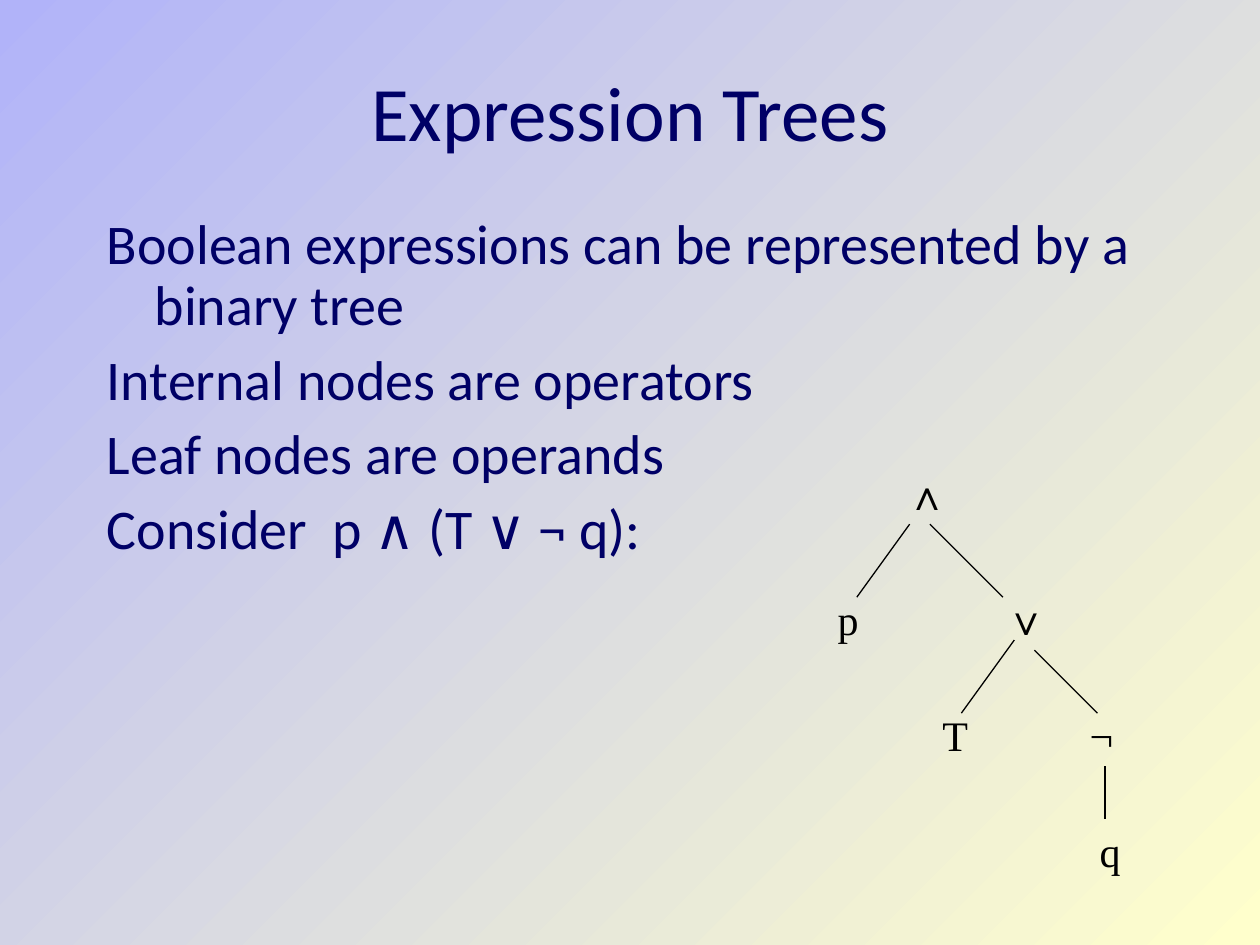
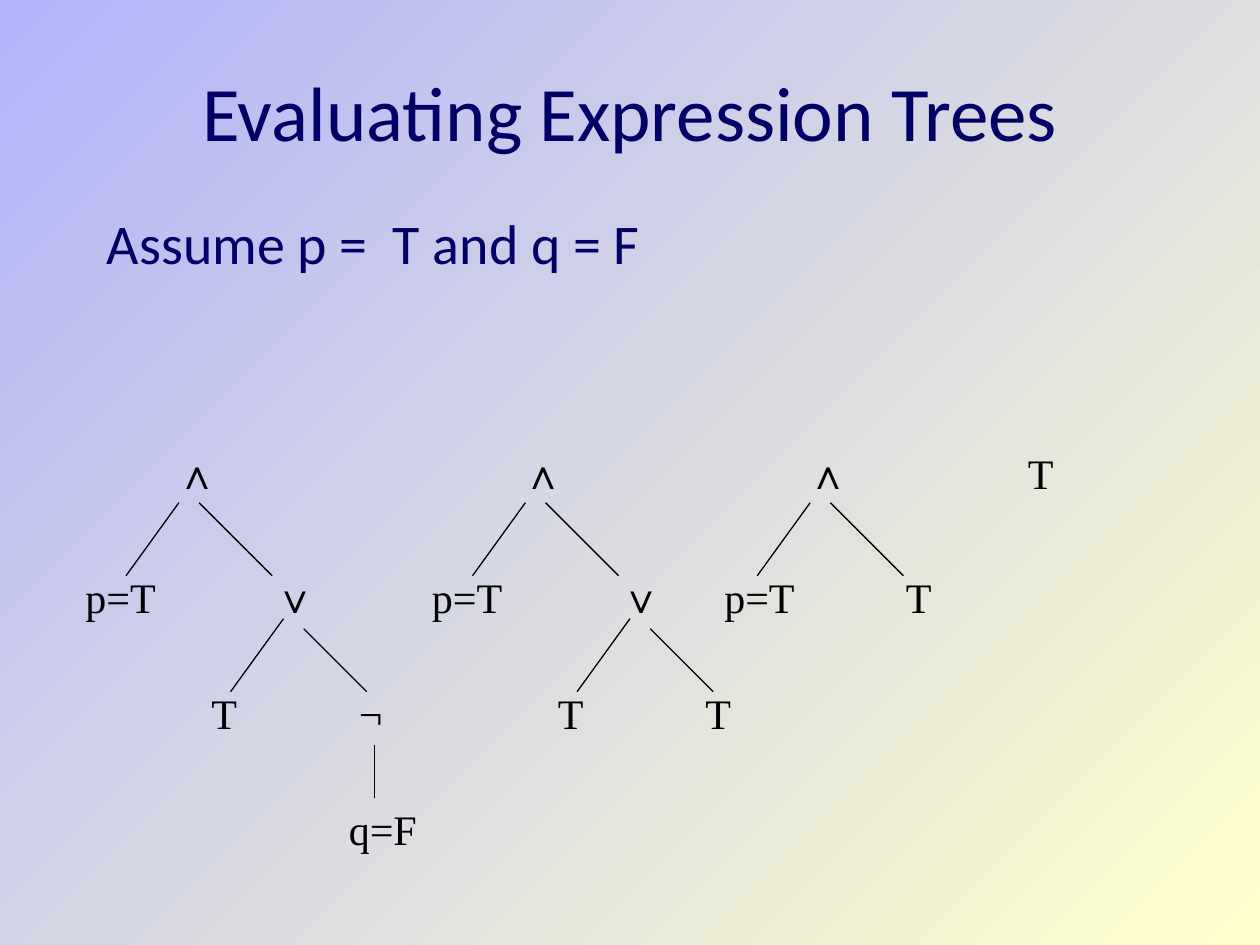
"""Build two slides on Boolean expression trees."""
from dataclasses import dataclass

from pptx import Presentation
from pptx.dml.color import RGBColor as RGB
from pptx.enum.shapes import MSO_CONNECTOR as Connector
from pptx.enum.text import MSO_ANCHOR as Anchor, MSO_AUTO_SIZE as AutoSize, PP_ALIGN as Align
from pptx.oxml.ns import qn
from pptx.util import Inches, Pt


@dataclass(frozen=True)
class Theme:
    ink: RGB = RGB.from_string("000066")
    black: RGB = RGB.from_string("000000")
    back: tuple = ("B1B3F9", "FFFFCC")
    sans: str = "Calibri"
    serif: str = "Times New Roman"
    title: int = 44
    body: int = 32
    node: int = 24
    line: float = 0.75


COLS, ROWS = 100, 75
LEVELS = (0, 9.9, 19.1, 28.3)
WIDTHS = {"∧": 3.7, "p": 3.7, "q": 3.7, "∨": 4, "T": 4.1, "¬": 4.4, "p=T": 7.7, "q=F": 7.5}
EDGES = (
    (1.2, 4.9, -3, 10.7),
    (2.8, 4.9, 8.6, 10.7),
    (9.5, 14.1, 5.3, 19.9),
    (11.1, 14.9, 16.1, 19.9),
    (16.7, 24.1, 16.7, 28.3),
)
OR, LEFT_T, NOT = ("∨", 7.8, 1), ("T", 2.8, 2), ("¬", 14.5, 2)


class Deck:
    def __init__(self, theme):
        self.theme = theme
        self.prs = Presentation()
        self.prs.slide_width, self.prs.slide_height = Inches(10), Inches(7.5)
        self.s = None
        fill = self.prs.slide_master.background.fill
        fill.gradient()
        fill.gradient_angle = 315
        for stop, color, position in zip(fill.gradient_stops, theme.back, (0, 1)):
            stop.color.rgb = RGB.from_string(color)
            stop.position = position

    def grid(self, *cells):
        steps = (self.prs.slide_width / COLS, self.prs.slide_height / ROWS)
        return [round(cell * steps[i % 2]) for i, cell in enumerate(cells)]

    def font(self, p, name, size, color):
        p.font.name, p.font.size, p.font.color.rgb = name, Pt(size), color

    def slide(self, title):
        t = self.theme
        self.s = self.prs.slides.add_slide(self.prs.slide_layouts[5])
        sp = self.s.shapes.title
        sp.left, sp.top, sp.width, sp.height = self.grid(7.5, 0.9, 85, 15.7)
        tf = sp.text_frame
        tf.text = title
        tf.vertical_anchor, tf.auto_size = Anchor.MIDDLE, AutoSize.NONE
        p = tf.paragraphs[0]
        p.alignment = Align.CENTER
        self.font(p, t.sans, t.title, t.ink)

    def body(self, *lines):
        t = self.theme
        tf = self.s.shapes.add_textbox(*self.grid(7.5, 16.7, 85, 28.3)).text_frame
        tf.word_wrap = True
        tf.text = "\n".join(lines)
        for p in tf.paragraphs:
            p.line_spacing, p.space_before = 0.9, Pt(8)
            pPr = p._p.get_or_add_pPr()
            pPr.set("marL", str(Inches(0.38)))
            pPr.set("indent", str(Inches(-0.38)))
            self.font(p, t.sans, t.body, t.ink)

    def node(self, shapes, text, col, row, wrap):
        t = self.theme
        width = 3.7 if wrap else WIDTHS[text]
        tf = shapes.add_textbox(*self.grid(col, row, width, 5.05)).text_frame
        tf.word_wrap, tf.auto_size = wrap, AutoSize.SHAPE_TO_FIT_TEXT
        p = tf.paragraphs[0]
        p.text = text
        self.font(p, t.serif, t.node, t.black)

    def edge(self, shapes, *ends):
        line = shapes.add_connector(Connector.STRAIGHT, *self.grid(*ends))
        line.line.color.rgb, line.line.width = self.theme.black, Pt(self.theme.line)
        spPr = line._element.spPr
        spPr.append(spPr.makeelement(qn("a:effectLst"), {}))

    def tree(self, col, row, root, *nodes):
        shapes = self.s.shapes.add_group_shape().shapes
        self.node(shapes, root, col, row, True)
        for (text, dx, level), (x1, y1, x2, y2) in zip(nodes, EDGES):
            self.edge(shapes, col + x1, row + y1, col + x2, row + y2)
            self.node(shapes, text, col + dx, row + LEVELS[level], False)


deck = Deck(Theme())

deck.slide("Expression Trees")
deck.body(
    "Boolean expressions can be represented by a binary tree",
    "Internal nodes are operators",
    "Leaf nodes are operands",
    "Consider  p ∧ (T ∨ ¬ q):",
)
deck.tree(71, 36.7, "∧", ("p", -5.5, 1), OR, LEFT_T, NOT, ("q", 15.3, 3))

deck.slide("Evaluating Expression Trees")
deck.body("Assume p =  T and q = F")
deck.tree(13, 35, "∧", ("p=T", -7.2, 1), OR, LEFT_T, NOT, ("q=F", 13.7, 3))
deck.tree(40.5, 35, "∧", ("p=T", -7.2, 1), OR, LEFT_T, ("T", 14.5, 2))
deck.tree(63.1, 35, "∧", ("p=T", -6.6, 1), ("T", 7.8, 1))
deck.tree(80.6, 35, "T")

deck.prs.save("out.pptx")
